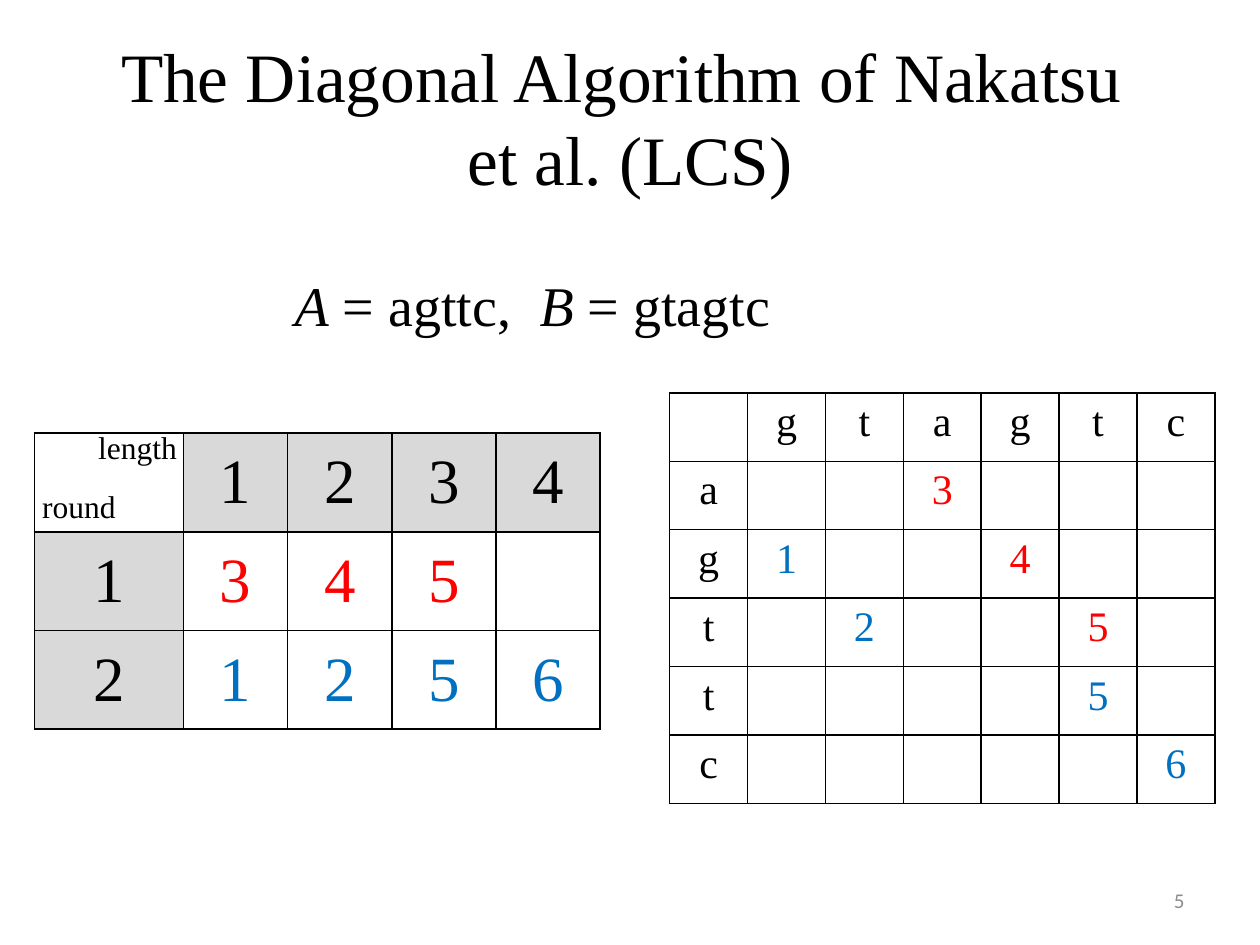
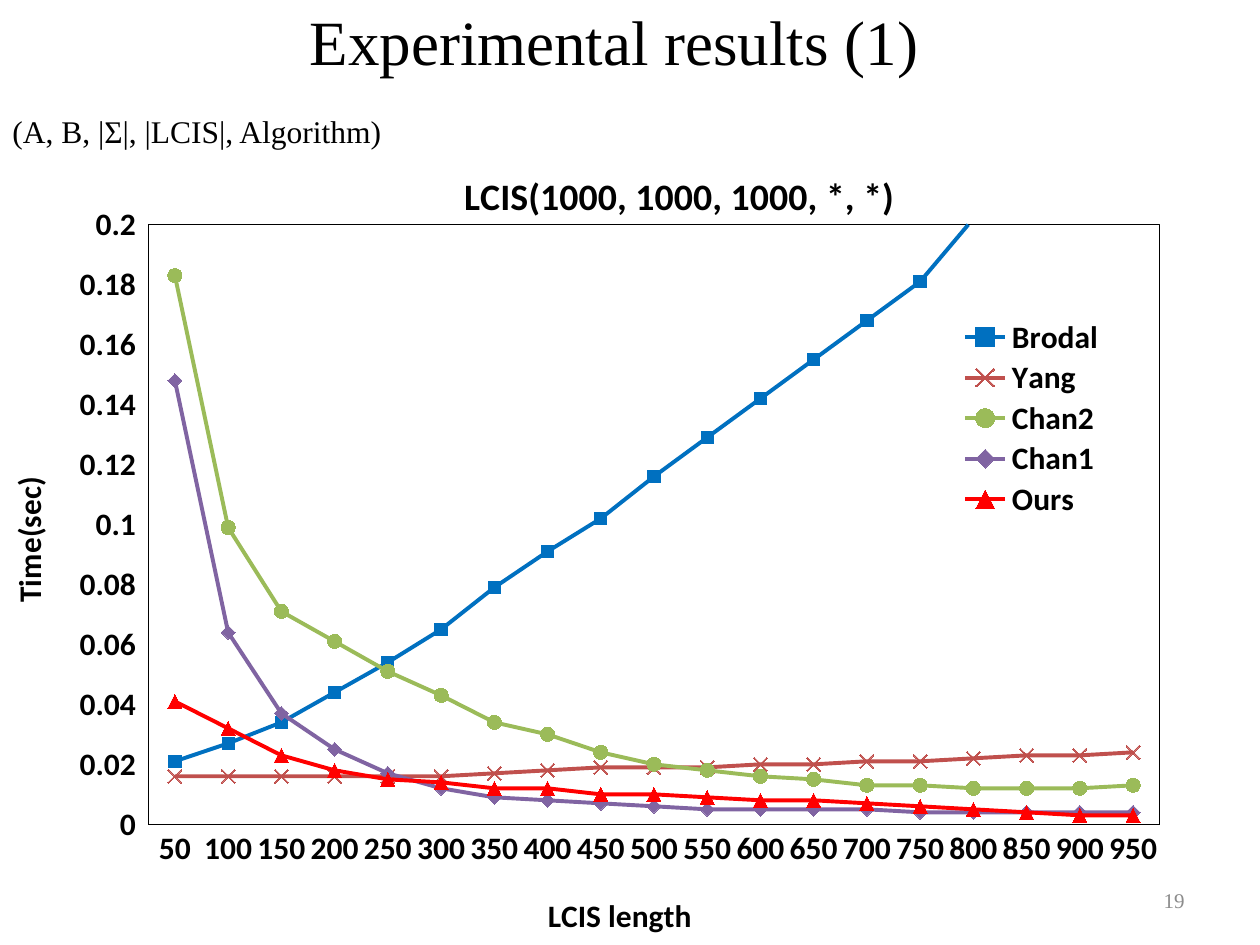
from lxml.etree import SubElement
from pptx import Presentation
from pptx.chart.data import CategoryChartData
from pptx.dml.color import RGBColor
from pptx.enum.chart import XL_CHART_TYPE as Kind, XL_LEGEND_POSITION as Side
from pptx.enum.chart import XL_MARKER_STYLE as Mark, XL_TICK_MARK as Tick
from pptx.enum.text import MSO_ANCHOR as Anchor, MSO_AUTO_SIZE as Fit, PP_ALIGN as Align
from pptx.oxml import parse_xml
from pptx.oxml.ns import nsdecls, qn
from pptx.util import Cm, Pt

BLACK = RGBColor(0x00, 0x00, 0x00)
GRAY = RGBColor(0xD9, 0xD9, 0xD9)
DIM = RGBColor(0x8C, 0x8C, 0x8C)
RED = RGBColor(0xFF, 0x00, 0x00)
BLUE = RGBColor(0x00, 0x70, 0xC0)
BRICK = RGBColor(0xC0, 0x50, 0x4D)
GREEN = RGBColor(0x9B, 0xBB, 0x59)
PLUM = RGBColor(0x80, 0x64, 0xA2)

SERIF, SANS = "Times New Roman", "Calibri"

# Slide 1: the two strings and the (row, column) matches found in each round
WORD_A, WORD_B = "agttc", "gtagtc"
ROUNDS = [
    (RED, [(1, 3), (2, 4), (3, 5)]),
    (BLUE, [(2, 1), (3, 2), (4, 5), (5, 6)]),
]
MAX_LEN = 4

# Slide 2: running times in seconds by LCIS length
LENGTHS = range(50, 951, 50)
TIMES = [
    ("Brodal", BLUE, Mark.SQUARE, 7,
     [0.021, 0.027, 0.034, 0.044, 0.054, 0.065, 0.079, 0.091, 0.102, 0.116,
      0.129, 0.142, 0.155, 0.168, 0.181, 0.202, 0.207, 0.217, 0.229]),
    ("Yang", BRICK, Mark.X, 8,
     [0.016, 0.016, 0.016, 0.016, 0.016, 0.016, 0.017, 0.018, 0.019, 0.019,
      0.019, 0.02, 0.02, 0.021, 0.021, 0.022, 0.023, 0.023, 0.024]),
    ("Chan2", GREEN, Mark.CIRCLE, 8,
     [0.183, 0.099, 0.071, 0.061, 0.051, 0.043, 0.034, 0.03, 0.024, 0.02,
      0.018, 0.016, 0.015, 0.013, 0.013, 0.012, 0.012, 0.012, 0.013]),
    ("Chan1", PLUM, Mark.DIAMOND, 8,
     [0.148, 0.064, 0.037, 0.025, 0.017, 0.012, 0.009, 0.008, 0.007, 0.006,
      0.005, 0.005, 0.005, 0.005, 0.004, 0.004, 0.004, 0.004, 0.004]),
    ("Ours", RED, Mark.TRIANGLE, 8,
     [0.041, 0.032, 0.023, 0.018, 0.015, 0.014, 0.012, 0.012, 0.01, 0.01,
      0.009, 0.008, 0.008, 0.007, 0.006, 0.005, 0.004, 0.003, 0.003]),
]
CHART_W, CHART_H = 24.69, 16.13


def style(font, size, ink=BLACK, **extra):
    look = {"name": SERIF, "size": Pt(size)} | extra
    for key, value in look.items():
        setattr(font, key, value)
    font.color.rgb = ink


def add_slide(deck, title, box, size, pad=0.25):
    slide = deck.slides.add_slide(deck.slide_layouts[5])
    head = slide.shapes.title
    head.left, head.top, head.width, head.height = map(Cm, box)
    frame = head.text_frame
    frame.text = title
    frame.auto_size = Fit.NONE
    frame.vertical_anchor = Anchor.MIDDLE
    frame.margin_right = Cm(pad)
    para = frame.paragraphs[0]
    para.alignment = Align.CENTER
    for run in para.runs:
        style(run.font, size)
    return slide


def add_text(slide, box, runs, size, ink=BLACK, wrap=False, align=Align.LEFT,
             anchor=Anchor.TOP, face=SERIF):
    """Place one paragraph; runs are (text, italic) pairs."""
    frame = slide.shapes.add_textbox(*map(Cm, box)).text_frame
    frame.word_wrap = wrap
    frame.vertical_anchor = anchor
    para = frame.paragraphs[0]
    para.alignment = align
    for text, slant in runs:
        run = para.add_run()
        run.text = text
        style(run.font, size, ink, name=face, italic=slant)


def add_number(slide, number, face):
    add_text(slide, (18.2, 17.65, 5.93, 1.01), [(str(number), False)], 12, DIM,
             True, Align.RIGHT, Anchor.MIDDLE, face)


def add_grid(slide, left, top, cols, rows, cells, size, anchor=Anchor.TOP, shade=False):
    """Draw a ruled table; cells maps (row, column) to (text, ink)."""
    frame = slide.shapes.add_table(len(rows), len(cols), Cm(left), Cm(top),
                                   Cm(sum(cols)), Cm(sum(rows)))
    table = frame.table
    table.first_row = table.horz_banding = False
    for col, width in zip(table.columns, cols):
        col.width = Cm(width)
    for row, height in zip(table.rows, rows):
        row.height = Cm(height)
    for r in range(len(rows)):
        for c in range(len(cols)):
            cell = table.cell(r, c)
            cell.vertical_anchor = anchor
            if shade and (r == 0) != (c == 0):
                cell.fill.solid()
                cell.fill.fore_color.rgb = GRAY
            else:
                cell.fill.background()
            rule(cell)
            if (r, c) in cells:
                text, ink = cells[r, c]
                para = cell.text_frame.paragraphs[0]
                para.alignment = Align.CENTER
                run = para.add_run()
                run.text = str(text)
                style(run.font, size, ink)


def rule(cell):
    props = cell._tc.get_or_add_tcPr()
    for i, side in enumerate("LRTB"):
        props.insert(i, parse_xml(
            f'<a:ln{side} {nsdecls("a")} w="12700"><a:solidFill>'
            f'<a:srgbClr val="{BLACK}"/></a:solidFill></a:ln{side}>'))


def place(part, index, inner=False, **spots):
    """Fix a chart part at x, y, w, h, in centimetres within the chart."""
    for old in part.findall(qn("c:layout")):
        part.remove(old)
    layout = parse_xml(f'<c:layout {nsdecls("c")}><c:manualLayout/></c:layout>')
    manual = layout[0]
    if inner:
        SubElement(manual, qn("c:layoutTarget"), val="inner")
    for key in "xy":
        SubElement(manual, qn(f"c:{key}Mode"), val="edge")
    for key, value in spots.items():
        whole = CHART_W if key in "xw" else CHART_H
        SubElement(manual, qn(f"c:{key}"), val=str(value / whole))
    part.insert(index, layout)


def add_title(owner, text, size, x, y):
    owner.has_title = True
    title = owner.chart_title if hasattr(owner, "chart_title") else owner.axis_title
    title.text_frame.text = text
    run = title.text_frame.paragraphs[0].runs[0]
    style(run.font, size, name=SANS, bold=True)
    place(title._element, 1, x=x, y=y)


def add_times(slide):
    data = CategoryChartData()
    data.categories = [str(n) for n in LENGTHS]
    for name, *_, values in TIMES:
        data.add_series(name, values)
    box = map(Cm, (0, 2.92, CHART_W, CHART_H))
    chart = slide.shapes.add_chart(Kind.LINE_MARKERS, *box, data).chart
    style(chart.font, 18, name=SANS, bold=True)
    chart.plots[0].vary_by_categories = False

    for series, (_, ink, mark, size, _) in zip(chart.plots[0].series, TIMES):
        series.smooth = False
        series.format.line.color.rgb = ink
        series.format.line.width = Pt(2.25)
        marker = series.marker
        marker.style, marker.size = mark, size
        marker.format.line.color.rgb = ink
        if mark == Mark.X:
            marker.format.fill.background()
        else:
            marker.format.fill.solid()
            marker.format.fill.fore_color.rgb = ink

    across, up = chart.category_axis, chart.value_axis
    for axis, tick in ((across, Tick.NONE), (up, Tick.OUTSIDE)):
        axis.has_major_gridlines = False
        axis.major_tick_mark, axis.minor_tick_mark = tick, Tick.NONE
        style(axis.tick_labels.font, 18, name=SANS, bold=True)
    across.format.line.color.rgb = BLACK
    across.format.line.width = Pt(0.75)
    up.format.line.fill.background()
    up.minimum_scale, up.maximum_scale, up.major_unit = 0, 0.2, 0.02
    up.tick_labels.number_format = "General"
    up.tick_labels.number_format_is_linked = False

    add_title(chart, "LCIS(1000, 1000, 1000, *, *)", 21.6, 9.22, 0.36)
    add_title(across, "LCIS length", 18, 10.93, 15.18)
    add_title(up, "Time(sec)", 18, 0.03, 6.69)

    chart.has_legend = True
    legend = chart.legend
    legend.position = Side.RIGHT
    legend.include_in_layout = False
    style(legend.font, 18, name=SANS, bold=True)
    place(legend._element, 1, x=19.2, y=3.48, w=3.2, h=4.2)

    area = chart._chartSpace.chart.plotArea
    place(area, 0, True, x=2.99, y=1.63, w=20.39, h=12.24)
    area.append(parse_xml(
        f'<c:spPr {nsdecls("c", "a")}><a:noFill/><a:ln w="9525"><a:solidFill>'
        f'<a:srgbClr val="{BLACK}"/></a:solidFill></a:ln></c:spPr>'))


def add_diagonal(deck):
    slide = add_slide(deck, "The Diagonal Algorithm of Nakatsu \vet al. (LCS)",
                      (1.27, 0.76, 22.86, 3.18), 39.6)
    add_text(slide, (5.69, 5.33, 18.44, 11.68),
             [("A", True), (f" = {WORD_A},  ", False),
              ("B", True), (f" = {WORD_B}", False)], 32, wrap=True)
    add_number(slide, 5, SANS)

    steps = {(0, n): (n, BLACK) for n in range(1, MAX_LEN + 1)}
    match = {(0, c): (ch, BLACK) for c, ch in enumerate(WORD_B, 1)}
    match |= {(r, 0): (ch, BLACK) for r, ch in enumerate(WORD_A, 1)}
    for turn, (ink, picks) in enumerate(ROUNDS, 1):
        steps[turn, 0] = turn, BLACK
        steps |= {(turn, n): (c, ink) for n, (_, c) in enumerate(picks, 1)}
        match |= {(r, c): (c, ink) for r, c in picks}

    add_grid(slide, 0.7, 8.73, [3] + [2.1] * MAX_LEN, [1.99] * (len(ROUNDS) + 1),
             steps, 36, Anchor.MIDDLE, True)
    add_text(slide, (0.6, 9.7, 2.08, 1.02), [("round", False)], 18)
    add_text(slide, (1.73, 8.51, 2.16, 1.02), [("length", False)], 18)
    add_grid(slide, 13.5, 7.92, [1.57] * (len(WORD_B) + 1),
             [1.38] * (len(WORD_A) + 1), match, 24)


def add_results(deck):
    slide = add_slide(deck, "Experimental results (1)",
                      (1.27, 0.13, 22.86, 1.37), 36, pad=0.89)
    add_number(slide, 19, SERIF)
    add_text(slide, (0, 2.13, 7.98, 1.02),
             [("(A, B, |Σ|, |LCIS|, Algorithm)", False)], 18)
    add_times(slide)


def main():
    deck = Presentation()
    deck.slide_width, deck.slide_height = Cm(25.4), Cm(19.05)
    add_diagonal(deck)
    add_results(deck)
    deck.save("out.pptx")


if __name__ == "__main__":
    main()
